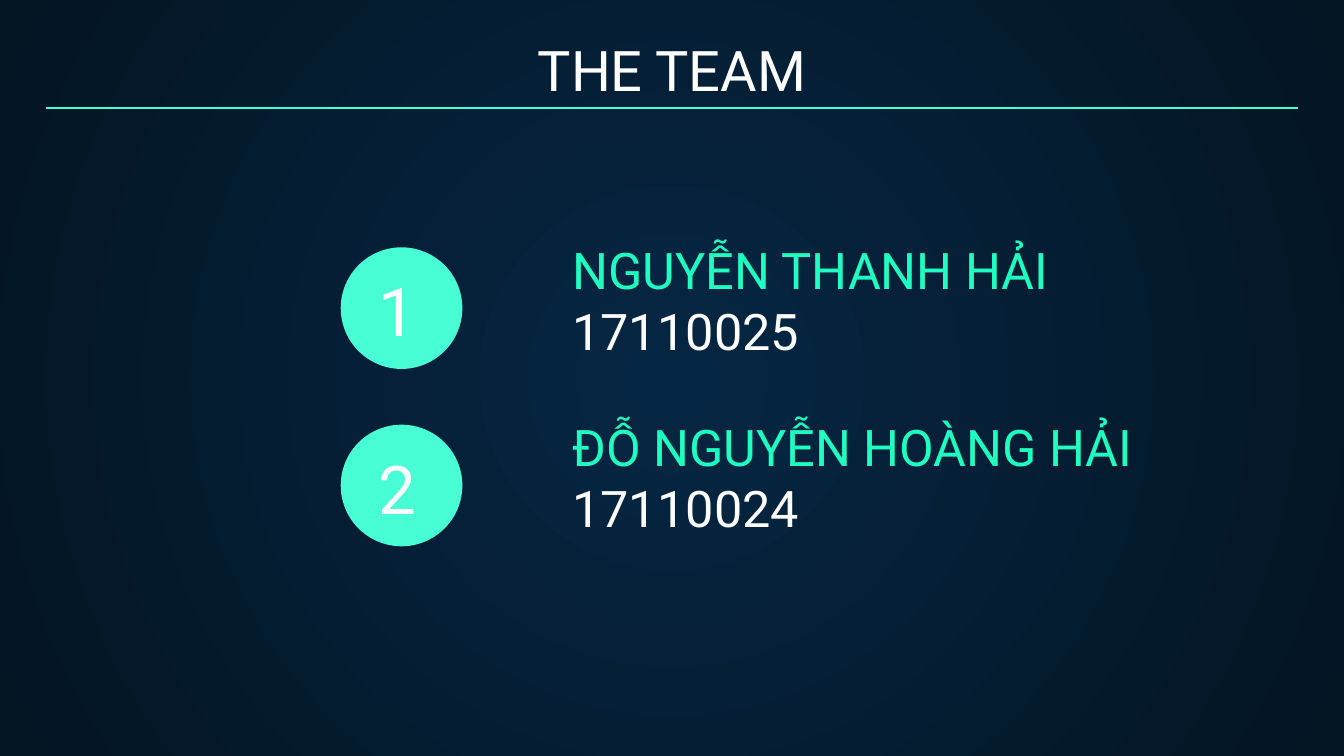
import lxml.etree
import pptx
import pptx.dml.color
import pptx.enum.shapes
import pptx.enum.text
import pptx.oxml.ns
import pptx.util

PX = 4572  # EMU per px, 200 px to the inch
FONT = "Roboto"
COLORS = {
    "center": "052643",
    "edge": "041523",
    "accent": "48FFD5",
    "name": "1EFFC1",
    "text": "FFFFFF",
}
MEMBERS = [
    ("NGUYỄN THANH HẢI", "17110025"),
    ("ĐỖ NGUYỄN HOÀNG HẢI", "17110024"),
]
ROW_PITCH = 264

qn = pptx.oxml.ns.qn
ANCHOR = pptx.enum.text.MSO_ANCHOR
ALIGN = pptx.enum.text.PP_ALIGN


def emu(*lengths):
    return [pptx.util.Emu(n * PX) for n in lengths]


def rgb(key):
    return pptx.dml.color.RGBColor.from_string(COLORS[key])


def write(sp, lines, size, align=ALIGN.LEFT, anchor=ANCHOR.TOP):
    """Fill a shape with one paragraph per (text, colour key) pair."""
    tf = sp.text_frame
    tf.word_wrap = True
    tf.auto_size = pptx.enum.text.MSO_AUTO_SIZE.NONE
    tf.vertical_anchor = anchor
    tf.margin_left, tf.margin_top, tf.margin_right, tf.margin_bottom = emu(20, 20, 20, 20)
    for i, (text, color) in enumerate(lines):
        p = tf.add_paragraph() if i else tf.paragraphs[0]
        p.text = text
        p.alignment = align
        p.font.name = FONT
        p.font.size = pptx.util.Pt(size)
        p.font.color.rgb = rgb(color)


def paint_background(s):
    """Radial gradient from the middle of the slide to its corners."""
    fill = s.background.fill
    fill.gradient()
    for stop, key in zip(fill.gradient_stops, ("center", "edge")):
        stop.color.rgb = rgb(key)
    grad = s.element.find(".//" + qn("a:gradFill"))
    grad.remove(grad.find(qn("a:lin")))
    circle = lxml.etree.SubElement(grad, qn("a:path"))
    circle.set("path", "circle")
    focus = lxml.etree.SubElement(circle, qn("a:fillToRect"))
    for side in "ltrb":
        focus.set(side, "50000")


def add_header(s, x, y, w, h):
    """Title with a rule just above the bottom of its box."""
    title = s.shapes.title
    title.left, title.top, title.width, title.height = emu(x, y, w, h)
    write(title, [("THE TEAM", "text")], 30, ALIGN.CENTER, ANCHOR.BOTTOM)
    rule_y = y + h - 12
    rule = s.shapes.add_connector(
        pptx.enum.shapes.MSO_CONNECTOR.STRAIGHT, *emu(x, rule_y, x + w, rule_y)
    )
    rule.line.color.rgb = rgb("accent")
    rule.line.width = pptx.util.Pt(0.75)
    lxml.etree.SubElement(rule.element.spPr, qn("a:effectLst"))


def add_member(s, x, y, w, h, number, name, student_id):
    """Numbered disc at the left, name and student id at the right."""
    disc = s.shapes.add_shape(
        pptx.enum.shapes.MSO_SHAPE.OVAL, *emu(x, y + 32, 181, 181)
    )
    disc.shadow.inherit = False
    disc.fill.solid()
    disc.fill.fore_color.rgb = rgb("accent")
    disc.line.fill.background()
    digit = s.shapes.add_textbox(*emu(x + 37, y + 45, 108, 154))
    write(digit, [(str(number), "text")], 36)
    details = s.shapes.add_textbox(*emu(x + 325, y, w - 325, h))
    write(details, [(name, "name"), (student_id, "text")], 27)


def main():
    prs = pptx.Presentation()
    prs.slide_width, prs.slide_height = emu(2000, 1125)
    s = prs.slides.add_slide(prs.slide_layouts.get_by_name("Title Only"))
    paint_background(s)
    add_header(s, 68, 41, 1864, 132)
    for i, (name, student_id) in enumerate(MEMBERS):
        add_member(s, 507, 336 + i * ROW_PITCH, 1261, 212, i + 1, name, student_id)
    prs.save("out.pptx")


if __name__ == "__main__":
    main()
